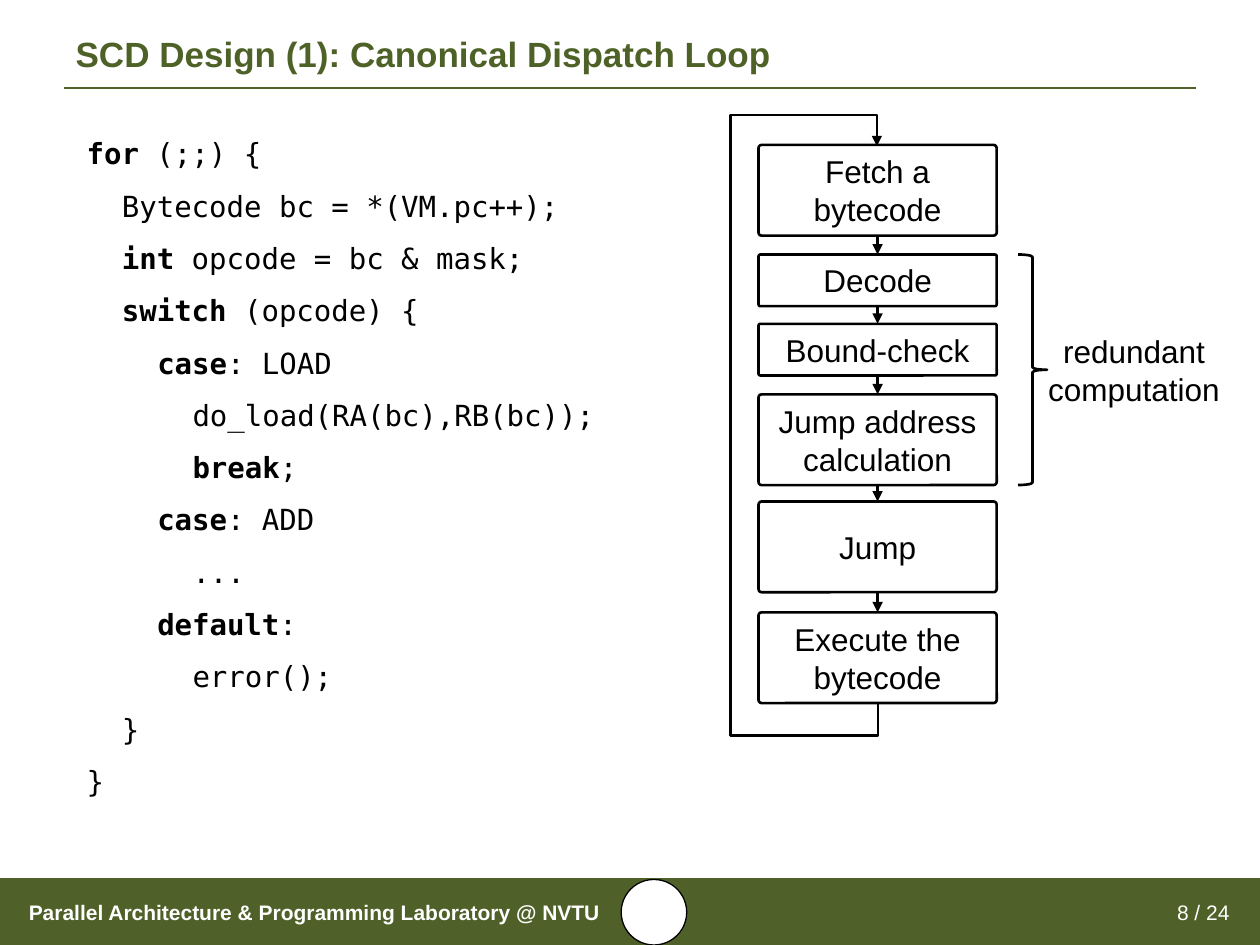
from dataclasses import dataclass
from itertools import pairwise
from typing import NamedTuple

from lxml.etree import SubElement
from pptx import Presentation
from pptx.dml.color import RGBColor
from pptx.enum.shapes import MSO_CONNECTOR, MSO_SHAPE
from pptx.enum.text import MSO_ANCHOR, PP_ALIGN
from pptx.oxml.ns import qn
from pptx.util import Inches, Pt


@dataclass(frozen=True)
class Theme:
    green: RGBColor = RGBColor(0x4F, 0x61, 0x28)
    head: RGBColor = RGBColor(0x4E, 0x61, 0x27)
    black: RGBColor = RGBColor(0, 0, 0)
    white: RGBColor = RGBColor(255, 255, 255)
    sans: str = "Arial"
    mono: str = "DejaVu Sans Mono"
    title: float = 20
    body: float = 18
    code: float = 16.6
    foot: float = 12
    rule: float = 1
    edge: float = 1.5
    thin: float = 0.75


class Area(NamedTuple):
    left: float
    top: float
    width: float
    height: float


class Step(NamedTuple):
    text: str
    top: float
    height: float


class Code(NamedTuple):
    level: int
    key: str
    rest: str


THEME = Theme()
TALL, LOW = 0.72, 0.41
LEFT, WIDTH = 6.02, 1.89
TAB = 0.28

STEPS = [
    Step("Fetch a bytecode", 1.15, TALL),
    Step("Decode", 2.02, LOW),
    Step("Bound-check", 2.57, LOW),
    Step("Jump address calculation", 3.13, TALL),
    Step("Jump", 3.98, TALL),
    Step("Execute the bytecode", 4.86, TALL),
]

CODE = [
    Code(0, "for", " (;;) {"),
    Code(1, "", "Bytecode bc = *(VM.pc++);"),
    Code(1, "int", " opcode = bc & mask;"),
    Code(1, "switch", " (opcode) {"),
    Code(2, "case", ": LOAD"),
    Code(3, "", "do_load(RA(bc),RB(bc));"),
    Code(3, "break", ";"),
    Code(2, "case", ": ADD"),
    Code(3, "", "..."),
    Code(2, "default", ":"),
    Code(3, "", "error();"),
    Code(1, "", "}"),
    Code(0, "", "}"),
]


def style(run, size: float, color: RGBColor, bold=False, face=THEME.sans) -> None:
    font = run.font
    font.name, font.size, font.bold = face, Pt(size), bold
    font.color.rgb = color


def write(frame, text: str, size: float, color: RGBColor, bold=False,
          align=PP_ALIGN.CENTER) -> None:
    frame.text = text
    frame.vertical_anchor = MSO_ANCHOR.MIDDLE
    for para in frame.paragraphs:
        para.alignment = align
        for run in para.runs:
            style(run, size, color, bold)


def place(item, area: Area) -> None:
    item.left, item.top, item.width, item.height = map(Inches, area)


def shape(slide, kind, area: Area, fill=None, line=None, width=THEME.edge):
    item = slide.shapes.add_shape(kind, *map(Inches, area))
    item.shadow.inherit = False
    if fill is None:
        item.fill.background()
    else:
        item.fill.solid()
        item.fill.fore_color.rgb = fill
    if line is None:
        item.line.fill.background()
    else:
        item.line.color.rgb = line
        item.line.width = Pt(width)
    return item


def label(slide, area: Area, text: str, size: float, color: RGBColor,
          bold=False, align=PP_ALIGN.CENTER, wrap=True) -> None:
    frame = slide.shapes.add_textbox(*map(Inches, area)).text_frame
    frame.word_wrap = wrap
    write(frame, text, size, color, bold, align)


def link(slide, start, end, color=THEME.black, width=THEME.edge, arrow=True,
         kind=MSO_CONNECTOR.STRAIGHT):
    item = slide.shapes.add_connector(kind, *map(Inches, (*start, *end)))
    item.line.color.rgb = color
    item.line.width = Pt(width)
    if arrow:
        SubElement(item.line._get_or_add_ln(), qn("a:tailEnd"), type="triangle")
    SubElement(item._element.spPr, qn("a:effectLst"))
    return item


def loop(slide) -> None:
    item = link(slide, (4.75, 3.37), (9.18, 3.38), kind=MSO_CONNECTOR.ELBOW)
    props = item._element.spPr
    frame = props.find(qn("a:xfrm"))
    frame.set("rot", "5400000")
    frame.set("flipH", "1")
    geom = props.find(qn("a:prstGeom"))
    geom.set("prst", "bentConnector5")
    guides = geom.find(qn("a:avLst"))
    for index, part in enumerate((-0.056, 119, 1.056), 1):
        SubElement(guides, qn("a:gd"), name=f"adj{index}",
                   fmla=f"val {round(part * 100000)}")


def listing(slide) -> None:
    frame = slide.shapes.add_textbox(*map(Inches, (0.59, 0.84, 4.34, 5.83))).text_frame
    frame.word_wrap = True
    frame.margin_top = frame.margin_bottom = Inches(0.1)
    for index, row in enumerate(CODE):
        para = frame.add_paragraph() if index else frame.paragraphs[0]
        para.line_spacing = 1.5
        para._p.get_or_add_pPr().set("marL", str(Inches(row.level * TAB)))
        for text, bold in ((row.key, True), (row.rest, False)):
            if text:
                run = para.add_run()
                run.text = text
                style(run, THEME.code, THEME.black, bold, THEME.mono)


def footer(slide) -> None:
    shape(slide, MSO_SHAPE.RECTANGLE, Area(0, 6.97, 10, 0.54), THEME.green)
    label(slide, Area(0.13, 6.98, 5.42, 0.52),
          "Parallel Architecture & Programming Laboratory @ NVTU",
          THEME.foot, THEME.white, True, PP_ALIGN.LEFT)
    shape(slide, MSO_SHAPE.OVAL, Area(4.93, 6.98, 0.52, 0.52),
          THEME.white, THEME.black, THEME.thin)
    label(slide, Area(9.17, 6.98, 0.76, 0.52), "8 / 24", THEME.foot, THEME.white)


def header(slide) -> None:
    link(slide, (0.51, 0.7), (9.49, 0.7), THEME.green, THEME.rule, False)
    title = slide.shapes.title
    place(title, Area(0.5, 0.2, 9, 0.49))
    write(title.text_frame, "SCD Design (1): Canonical Dispatch Loop",
          THEME.title, THEME.head, True, PP_ALIGN.LEFT)
    title.text_frame.paragraphs[0].line_spacing = 0.9


def flow(slide) -> None:
    loop(slide)
    for step in STEPS:
        box = shape(slide, MSO_SHAPE.ROUNDED_RECTANGLE,
                    Area(LEFT, step.top, WIDTH, step.height), THEME.white, THEME.black)
        box.adjustments[0] = 0.034
        write(box.text_frame, step.text, THEME.body, THEME.black)
    mid = LEFT + WIDTH / 2
    for step, after in pairwise(STEPS):
        link(slide, (mid, step.top + step.height), (mid, after.top))
    shape(slide, MSO_SHAPE.RIGHT_BRACE, Area(8.08, 2.02, 0.23, 1.83), line=THEME.black)
    label(slide, Area(8.21, 2.58, 1.58, 0.71), "redundant\ncomputation",
          THEME.body, THEME.black, wrap=False)


def main() -> None:
    deck = Presentation()
    deck.slide_width, deck.slide_height = Inches(10), Inches(7.5)
    slide = deck.slides.add_slide(deck.slide_layouts[5])
    footer(slide)
    header(slide)
    listing(slide)
    flow(slide)
    deck.save("out.pptx")


if __name__ == "__main__":
    main()
